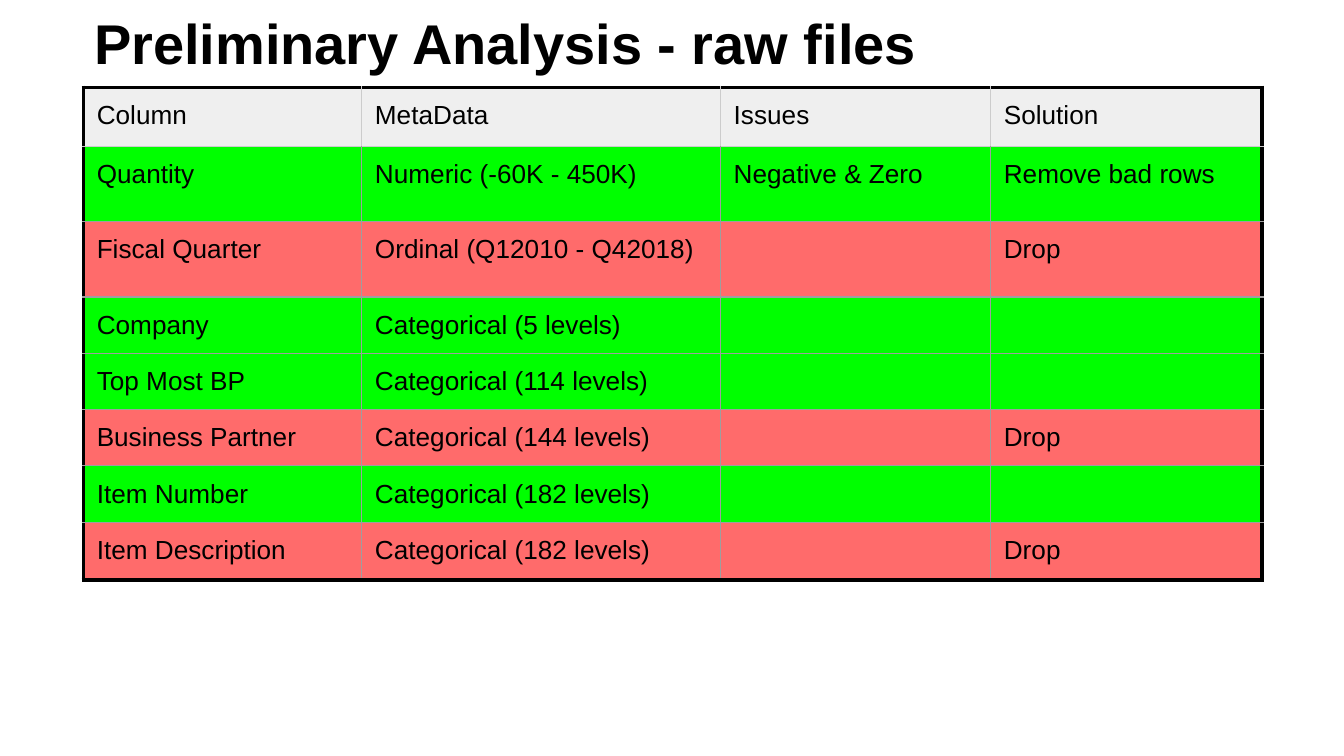
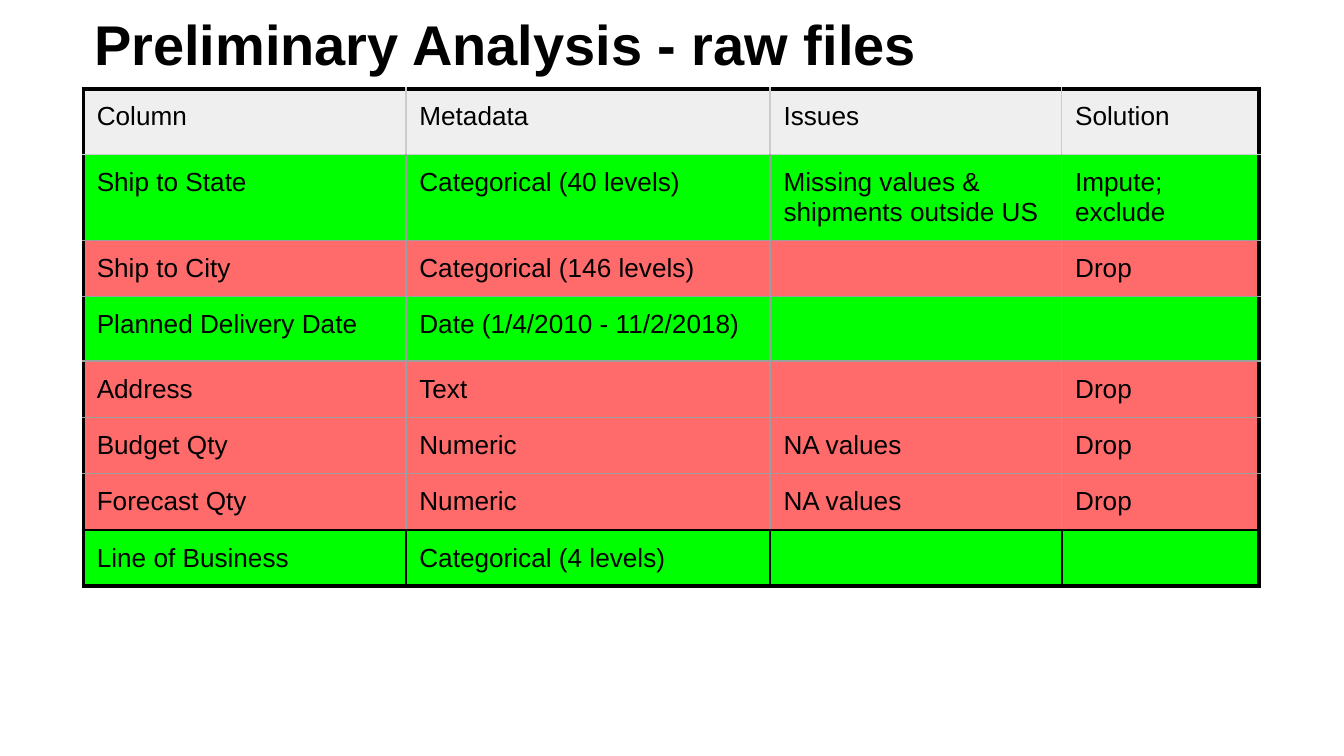
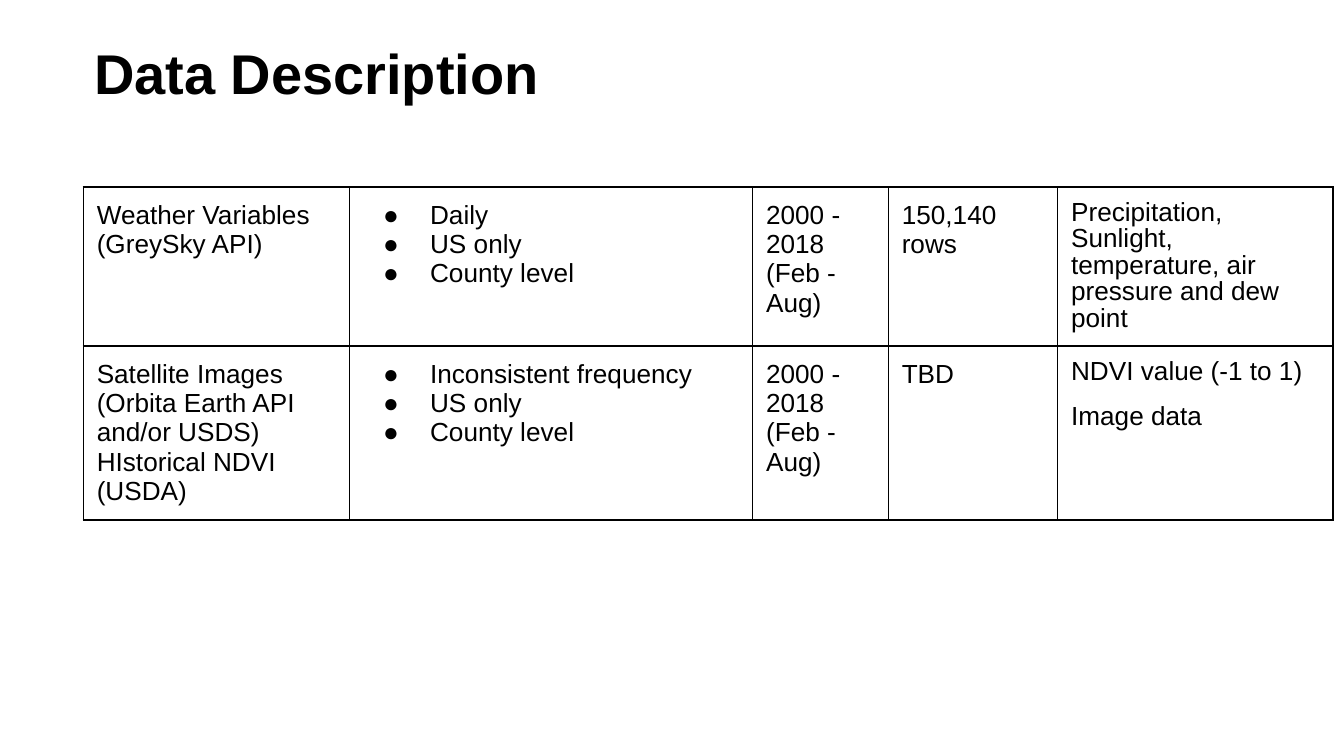
import pptx
import pptx.util
import pptx.dml.color
import pptx.enum.text
import pptx.oxml.ns
from lxml import etree

Inches, Pt = pptx.util.Inches, pptx.util.Pt
qn = pptx.oxml.ns.qn

# Shared style
COLORS = {"ink": "000000", "head": "EFEFEF", "keep": "00FF00", "drop": "FF0000",
          "grid": "9E9E9E", "pale": "CCCCCC"}
FONT = "Arial"
LEFT = 0.62
THICK, THIN, RULE = ("ink", 2.25), ("ink", 1), ("grid", 0.75)
PALE = ("pale", 0.75)
DROP_ALPHA = 58

# Slide content: the first item of each row is its tone
RAW = [
    ("head", "Column", "MetaData", "Issues", "Solution"),
    ("keep", "Quantity", "Numeric (-60K - 450K)", "Negative & Zero", "Remove bad rows"),
    ("drop", "Fiscal Quarter", "Ordinal (Q12010 - Q42018)", "", "Drop"),
    ("keep", "Company", "Categorical (5 levels)", "", ""),
    ("keep", "Top Most BP", "Categorical (114 levels)", "", ""),
    ("drop", "Business Partner", "Categorical (144 levels)", "", "Drop"),
    ("keep", "Item Number", "Categorical (182 levels)", "", ""),
    ("drop", "Item Description", "Categorical (182 levels)", "", "Drop"),
]
MORE = [
    ("head", "Column", "Metadata", "Issues", "Solution"),
    ("keep", "Ship to State", "Categorical (40 levels)",
     "Missing values & shipments outside US", "Impute; exclude"),
    ("drop", "Ship to City", "Categorical (146 levels)", "", "Drop"),
    ("keep", "Planned Delivery Date", "Date (1/4/2010 - 11/2/2018)", "", ""),
    ("drop", "Address", "Text", "", "Drop"),
    ("drop", "Budget Qty", "Numeric", "NA values", "Drop"),
    ("drop", "Forecast Qty", "Numeric", "NA values", "Drop"),
    ("keep", "Line of Business", "Categorical (4 levels)", "", ""),
]
SPAN = ["2000 - 2018", "(Feb -", "Aug)"]
DATA = [
    (["Weather Variables (GreySky API)"], ["Daily", "US only", "County level"], SPAN,
     ["150,140 rows"],
     ["Precipitation, Sunlight, temperature, air pressure and dew point"]),
    (["Satellite Images (Orbita Earth API and/or USDS)", "HIstorical NDVI", "(USDA)"],
     ["Inconsistent frequency", "US only", "County level"], SPAN, ["TBD"],
     ["NDVI value (-1 to 1)", "Image data"]),
]
LIST_COL, LOOSE_COL = 1, 4


def rgb(name):
    return pptx.dml.color.RGBColor.from_string(COLORS[name])


def add_run(para, text, size, bold=False):
    run = para.add_run()
    run.text = text
    run.font.name, run.font.size, run.font.bold = FONT, Pt(size), bold
    run.font.color.rgb = rgb("ink")


def add_title(deck, text, top, width, height):
    slide = deck.slides.add_slide(deck.slide_layouts[5])
    title = slide.shapes.title
    title.left, title.top = Inches(LEFT), Inches(top)
    title.width, title.height = Inches(width), Inches(height)
    frame = title.text_frame
    frame.word_wrap = True
    frame.auto_size = pptx.enum.text.MSO_AUTO_SIZE.NONE
    frame.vertical_anchor = pptx.enum.text.MSO_ANCHOR.TOP
    frame.margin_left = frame.margin_right = Inches(0.08)
    frame.margin_top = frame.margin_bottom = Inches(0.04)
    para = frame.paragraphs[0]
    para.alignment = pptx.enum.text.PP_ALIGN.LEFT
    para.line_spacing = 0.9
    add_run(para, text, 30, True)
    return slide


def add_grid(slide, top, height, cols, rows):
    frame = slide.shapes.add_table(len(rows), len(cols), Inches(LEFT), Inches(top),
                                   Inches(sum(cols)), Inches(height))
    table = frame.table
    table.first_row = table.horz_banding = False
    for col, size in zip(table.columns, cols):
        col.width = Inches(size)
    for row, size in zip(table.rows, rows):
        row.height = Inches(size)
    frame.height = Inches(height)
    return table


def set_edges(cell, edges):
    """Draw the left, right, top and bottom borders of a cell."""
    props = cell._tc.get_or_add_tcPr()
    for side, (color, width) in zip("LRTB", edges):
        line = etree.SubElement(props, qn("a:ln" + side), w=str(Pt(width)))
        fill = etree.SubElement(line, qn("a:solidFill"))
        etree.SubElement(fill, qn("a:srgbClr"), val=COLORS[color])


def set_fill(cell, tone):
    if tone is None:
        cell.fill.background()
        return
    cell.fill.solid()
    cell.fill.fore_color.rgb = rgb(tone)
    if tone == "drop":
        color = cell._tc.tcPr.find(qn("a:solidFill")).find(qn("a:srgbClr"))
        etree.SubElement(color, qn("a:alpha"), val=str(DROP_ALPHA * 1000))


def add_bullet(para):
    props = para._p.get_or_add_pPr()
    props.set("marL", str(Inches(0.5)))
    props.set("indent", str(Inches(-0.35)))
    color = etree.SubElement(props, qn("a:buClr"))
    etree.SubElement(color, qn("a:srgbClr"), val=COLORS["ink"])
    etree.SubElement(props, qn("a:buFont"), typeface=FONT)
    etree.SubElement(props, qn("a:buChar"), char="●")


def fill_cell(cell, lines, tone, edges, bullet=False, loose=False):
    cell.margin_left = cell.margin_right = Inches(0.1)
    cell.margin_top = cell.margin_bottom = Inches(0.1)
    set_edges(cell, edges)
    set_fill(cell, tone)
    frame = cell.text_frame
    for num, line in enumerate(lines):
        para = frame.add_paragraph() if num else frame.paragraphs[0]
        if loose:
            para.line_spacing, para.space_before = 0.9, Pt(10)
        if bullet:
            add_bullet(para)
        if line:
            add_run(para, line, 14)
        else:
            # Keeps a blank cell from growing its row
            mark = etree.SubElement(para._p, qn("a:endParaRPr"), sz="1400")
            etree.SubElement(mark, qn("a:latin"), typeface=FONT)


def add_audit(slide, top, height, cols, rows, data, boxed=False):
    """Table of columns to keep or drop; boxed gives the last row black rules."""
    table = add_grid(slide, top, height, cols, rows)
    last, end = len(data) - 1, len(cols) - 1
    for r, (tone, *texts) in enumerate(data):
        black = boxed and r == last
        side = PALE if r == 0 else THIN if black else RULE
        above = THICK if r == 0 else PALE if r == 1 else THIN if black else RULE
        below = (THICK if r == last else PALE if r == 0
                 else THIN if boxed and r == last - 1 else RULE)
        for c, text in enumerate(texts):
            edges = (THICK if c == 0 else side, THICK if c == end else side, above, below)
            fill_cell(table.cell(r, c), [text], tone, edges)


def add_facts(slide, top, height, cols, rows, data):
    table = add_grid(slide, top, height, cols, rows)
    for r, row in enumerate(data):
        for c, lines in enumerate(row):
            fill_cell(table.cell(r, c), lines, None, [THIN] * 4,
                      bullet=c == LIST_COL, loose=c == LOOSE_COL)


def main():
    # Widescreen, 16 to 9
    deck = pptx.Presentation()
    deck.slide_width = Inches(10)
    deck.slide_height = deck.slide_width * 9 // 16

    # Raw files, first part
    slide = add_title(deck, "Preliminary Analysis - raw files", 0.08, 8.53, 0.68)
    add_audit(slide, 0.65, 3.72, [2.07, 2.67, 2.01, 2.02],
              [0.44, 0.56, 0.56] + [0.41] * 4 + [0.43], RAW)

    # Raw files, second part
    slide = add_title(deck, "Preliminary Analysis - raw files", 0.09, 8.75, 1.09)
    add_audit(slide, 0.66, 3.8, [2.4, 2.71, 2.17, 1.47],
              [0.49, 0.63, 0.41, 0.48] + [0.41] * 4, MORE, boxed=True)

    # Data sources
    slide = add_title(deck, "Data Description", 0.3, 8.75, 1.09)
    add_facts(slide, 1.39, 2.62, [1.98, 3, 1.01, 1.26, 2.05], [0.8, 0.72], DATA)

    deck.save("out.pptx")


if __name__ == "__main__":
    main()
